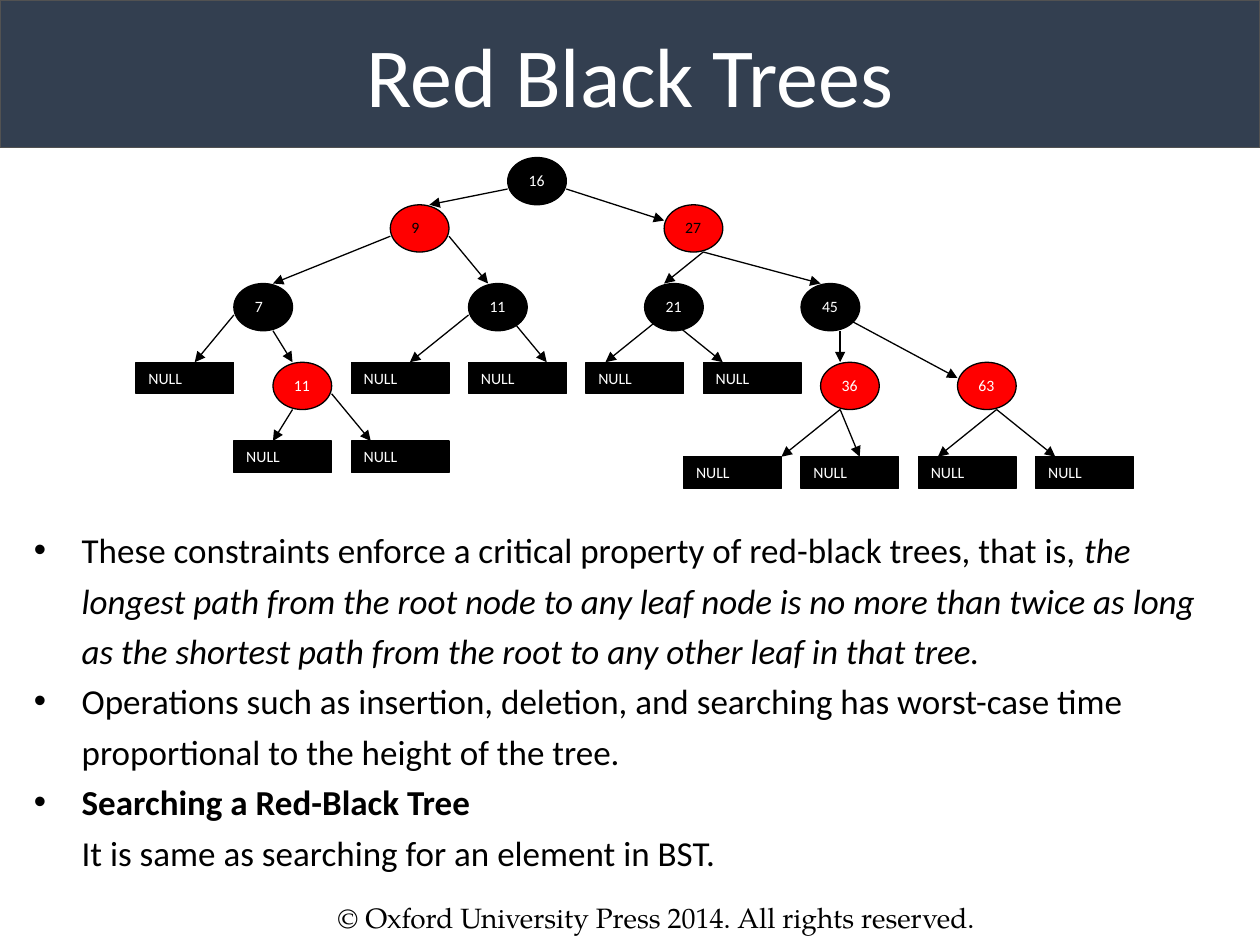
from lxml.etree import SubElement
from pptx import Presentation
from pptx.dml.color import RGBColor
from pptx.enum.shapes import MSO_CONNECTOR, MSO_SHAPE
from pptx.enum.text import MSO_ANCHOR, MSO_AUTO_SIZE, PP_ALIGN
from pptx.oxml.ns import qn
from pptx.util import Inches, Pt


def color(value):
    return RGBColor.from_string(value)


def write(para, text, size=20, font="Calibri", fill="000000", bold=False,
          italic=False, align=PP_ALIGN.LEFT):
    para.alignment = align
    span = para.add_run()
    span.text = text
    span.font.size = Pt(size)
    span.font.name = font
    span.font.bold = bold
    span.font.italic = italic
    span.font.color.rgb = color(fill)


deck = Presentation()
deck.slide_width = Inches(10)
deck.slide_height = Inches(7.5)
page = deck.slides.add_slide(deck.slide_layouts[5])

# Title band
title = page.shapes.title
title.left, title.top = Inches(0), Inches(0)
title.width, title.height = Inches(10), Inches(1.17)
title.fill.solid()
title.fill.fore_color.rgb = color("333F50")
title.line.color.rgb = color("525252")
title.line.width = Pt(1)
title.text_frame.auto_size = MSO_AUTO_SIZE.NONE
title.text_frame.vertical_anchor = MSO_ANCHOR.MIDDLE
write(title.text_frame.paragraphs[0], "Red Black Trees", size=48, fill="FFFFFF",
      align=PP_ALIGN.CENTER)

# Tree grid: columns and rows count from its top left corner
TREE_LEFT, TREE_TOP = Inches(1.08), Inches(1.25)
COLUMN, ROW = Inches(7.14) / 46, Inches(1) / 8

# Arrows: start column, start row, end column, end row
arrows = [
    (19, 2, 15, 3), (22, 2, 27, 4), (13, 5, 7, 8), (16, 5, 18, 8),
    (29, 6, 27, 8), (29, 6, 35, 8), (5, 10, 3, 13), (7, 11, 8, 13),
    (17, 10, 14, 13), (19, 10, 21, 13), (27, 10, 24, 13), (27, 10, 30, 13),
    (36, 11, 36, 13), (36, 10, 42, 14), (8, 16, 7, 18), (10, 15, 12, 18),
    (36, 16, 33, 19), (36, 16, 37, 19), (44, 16, 41, 19), (44, 16, 47, 19),
]
for start_column, start_row, end_column, end_row in arrows:
    arrow = page.shapes.add_connector(
        MSO_CONNECTOR.STRAIGHT,
        int(TREE_LEFT + start_column * COLUMN), int(TREE_TOP + start_row * ROW),
        int(TREE_LEFT + end_column * COLUMN), int(TREE_TOP + end_row * ROW))
    arrow.line.color.rgb = color("000000")
    arrow.line.width = Pt(0.75)
    SubElement(arrow.line._get_or_add_ln(), qn("a:tailEnd"), type="triangle")
    SubElement(arrow._element.spPr, qn("a:effectLst"))

# Nodes: label, column, row, fill, text colour
BLACK, RED, WHITE = "000000", "FF0000", "FFFFFF"
nodes = [
    ("16", 19, 0, BLACK, WHITE), ("9", 13, 3, RED, BLACK),
    ("27", 27, 3, RED, BLACK), ("7", 5, 8, BLACK, WHITE),
    ("11", 17, 8, BLACK, WHITE), ("21", 26, 8, BLACK, WHITE),
    ("45", 34, 8, BLACK, WHITE), ("11", 7, 13, RED, WHITE),
    ("36", 35, 13, RED, WHITE), ("63", 42, 13, RED, WHITE),
]
leaves = [(0, 13), (11, 13), (17, 13), (23, 13), (29, 13), (5, 18), (11, 18),
          (28, 19), (34, 19), (40, 19), (46, 19)]
nodes += [("NULL", column, row, BLACK, WHITE) for column, row in leaves]
for label, column, row, fill, text_fill in nodes:
    if label == "NULL":
        kind, columns, rows = MSO_SHAPE.RECTANGLE, 5, 2
    else:
        kind, columns, rows = MSO_SHAPE.OVAL, 3, 3
    node = page.shapes.add_shape(
        kind, int(TREE_LEFT + column * COLUMN), int(TREE_TOP + row * ROW),
        int(columns * COLUMN), int(rows * ROW))
    node.shadow.inherit = False
    node.fill.solid()
    node.fill.fore_color.rgb = color(fill)
    node.line.color.rgb = color(BLACK)
    node.line.width = Pt(0.75)
    node.text_frame.vertical_anchor = MSO_ANCHOR.TOP
    write(node.text_frame.paragraphs[0], label, size=9, fill=text_fill)

# Body text: bulleted or not, then the spans with their format
body = [
    (True, [("These constraints enforce a critical property of red-black trees, "
             "that is, ", {}),
            ("the longest path from the root node to any leaf node is no more "
             "than twice as long as the shortest path from the root to any "
             "other leaf in that tree.", {"italic": True})]),
    (True, [("Operations such as insertion, deletion, and searching has "
             "worst-case time proportional to the height of the tree.", {})]),
    (True, [("Searching a Red-Black Tree", {"bold": True})]),
    (False, [("It is same as searching for an element in BST.", {})]),
]
box = page.shapes.add_textbox(Inches(0.17), Inches(4.08), Inches(9.67), Inches(2.9))
box.text_frame.word_wrap = True
for index, (bulleted, spans) in enumerate(body):
    para = box.text_frame.paragraphs[0] if index == 0 else box.text_frame.add_paragraph()
    para.line_spacing = 1.2
    props = para._p.get_or_add_pPr()
    props.set("marL", str(Inches(0.38)))
    if bulleted:
        props.set("indent", str(-Inches(0.38)))
        SubElement(props, qn("a:buFont"), typeface="Arial")
        SubElement(props, qn("a:buChar"), char="•")
    for text, style in spans:
        write(para, text, **style)

# Copyright line
footer = page.shapes.add_textbox(Inches(2.58), Inches(7.1), Inches(5.92), Inches(0.37))
footer.text_frame.word_wrap = True
write(footer.text_frame.paragraphs[0],
      "© Oxford University Press 2014. All rights reserved.",
      size=16, font="TeX Gyre Pagella")

deck.save("out.pptx")
